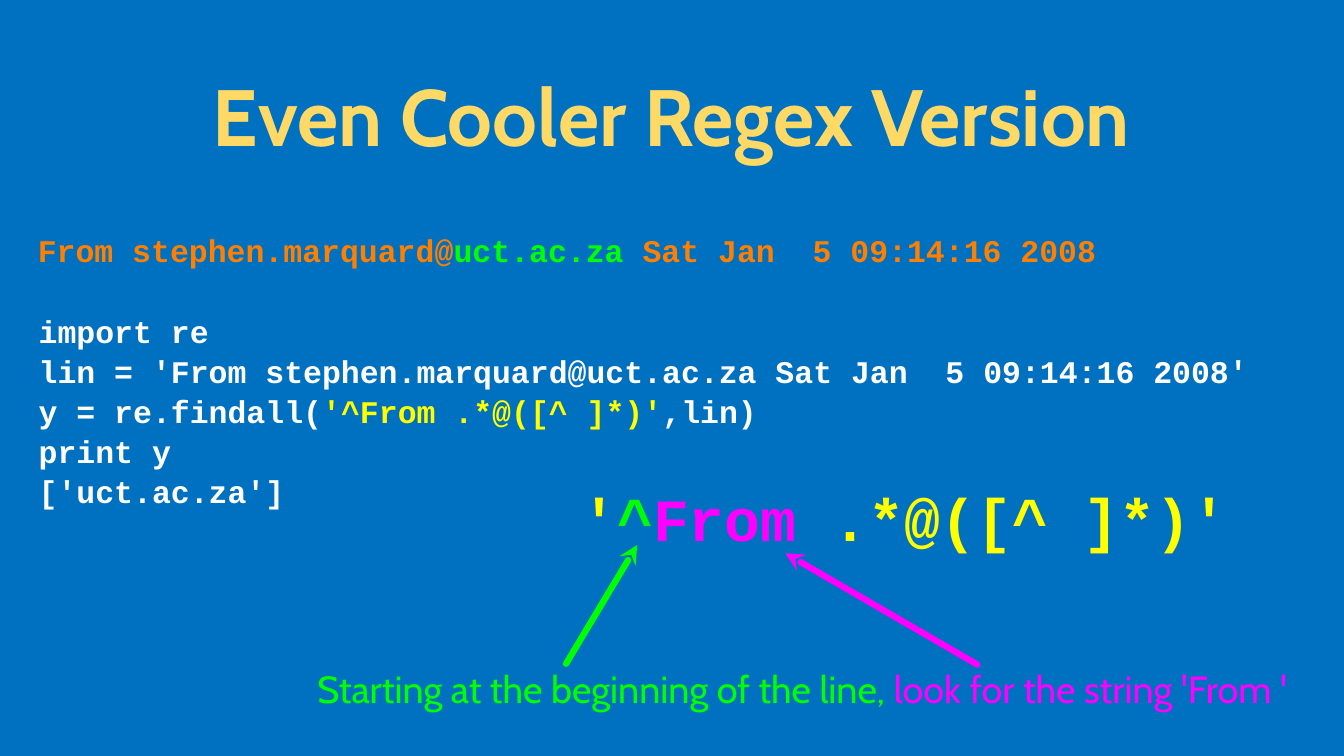
import pptx
import pptx.dml.color
import pptx.enum.shapes
import pptx.enum.text
import pptx.oxml
import pptx.oxml.ns
import pptx.util
from dataclasses import dataclass
from typing import NamedTuple

Cm = pptx.util.Cm
ALIGN = pptx.enum.text.PP_ALIGN


@dataclass(frozen=True)
class Theme:
    background: str = "0070C0"
    title: str = "FFD966"
    code: str = "FFFFFF"
    regex: str = "FFFF00"
    start: str = "00FF00"
    literal: str = "FF00FF"
    mail: str = "FF7F00"
    body_font: str = "Cabin"
    code_font: str = "Courier New"
    title_size: int = 76
    regex_size: int = 57
    note_size: int = 36
    code_size: int = 30
    arrow_width: int = 6


T = Theme()


class Run(NamedTuple):
    text: str
    color: str


class Box(NamedTuple):
    left: float
    top: float
    width: float
    height: float


@dataclass(frozen=True)
class TextBlock:
    box: Box
    lines: list[list[Run]]
    font: str
    size: int
    bold: bool = True
    align: ALIGN = ALIGN.LEFT
    inset: float = 0
    space_before: float = 0


class Arrow(NamedTuple):
    tip: tuple[float, float]
    tail: tuple[float, float]
    color: str


def rgb(color: str) -> pptx.dml.color.RGBColor:
    return pptx.dml.color.RGBColor.from_string(color)


def fill_text(sp, block: TextBlock) -> None:
    """Place a shape and write its text run by run."""
    sp.left, sp.top, sp.width, sp.height = (Cm(v) for v in block.box)
    tf = sp.text_frame
    tf.word_wrap = True
    tf.auto_size = pptx.enum.text.MSO_AUTO_SIZE.NONE
    tf.vertical_anchor = pptx.enum.text.MSO_ANCHOR.MIDDLE
    tf.margin_left = tf.margin_right = Cm(block.inset)
    tf.margin_top = tf.margin_bottom = Cm(block.inset)
    for i, line in enumerate(block.lines):
        p = tf.add_paragraph() if i else tf.paragraphs[0]
        p.alignment = block.align
        p.space_before = pptx.util.Pt(block.space_before if i else 0)
        for run in line:
            r = p.add_run()
            r.text = run.text
            r.font.name = block.font
            r.font.size = pptx.util.Pt(block.size)
            r.font.bold = block.bold
            r.font.color.rgb = rgb(run.color)


def add_text(s, block: TextBlock) -> None:
    fill_text(s.shapes.add_textbox(*(Cm(v) for v in block.box)), block)


def add_arrow(s, arrow: Arrow) -> None:
    """Draw a round-capped line with a stealth head at its tip."""
    ends = (Cm(v) for v in arrow.tip + arrow.tail)
    sp = s.shapes.add_connector(pptx.enum.shapes.MSO_CONNECTOR.STRAIGHT, *ends)
    sp.line.color.rgb = rgb(arrow.color)
    sp.line.width = pptx.util.Pt(T.arrow_width)
    ln = sp.line._get_or_add_ln()
    ln.set("cap", "rnd")
    for tag, attrs in (("a:round", {}), ("a:headEnd", {"type": "stealth"})):
        el = pptx.oxml.xmlchemy.OxmlElement(tag)
        for key, value in attrs.items():
            el.set(key, value)
        ln.append(el)
    sp._element.spPr.append(pptx.oxml.xmlchemy.OxmlElement("a:effectLst"))


TITLE = TextBlock(Box(3.2, 0.66, 38.71, 6.38),
                  [[Run("Even Cooler Regex Version", T.title)]],
                  T.body_font, T.title_size, align=ALIGN.CENTER, inset=0.1)

BLOCKS = [
    # Enlarged regular expression
    TextBlock(Box(19.53, 16.18, 21.95, 2.44),
              [[Run("'", T.regex), Run("^", T.start), Run("From ", T.literal),
                Run(".*@([^ ]*)'", T.regex)]],
              T.code_font, T.regex_size),
    # Explanation
    TextBlock(Box(10.57, 22.25, 32.77, 1.73),
              [[Run("Starting at the beginning of the line, ", T.start),
                Run("look for the string 'From ' ", T.literal)]],
              T.body_font, T.note_size, bold=False, align=ALIGN.CENTER),
    # Mail header being searched
    TextBlock(Box(1.27, 7.47, 43, 1.88),
              [[Run("From stephen.marquard@", T.mail), Run("uct.ac.za", T.start),
                Run(" Sat Jan  5 09:14:16 2008", T.mail)]],
              T.code_font, T.code_size),
    # Program and its output
    TextBlock(Box(1.3, 10.67, 43.79, 6.27),
              [[Run("import re", T.code)],
               [Run("lin = 'From stephen.marquard@uct.ac.za Sat Jan  5 09:14:16 2008'",
                    T.code)],
               [Run("y = re.findall(", T.code), Run("'^From .*@([^ ]*)'", T.regex),
                Run(",lin)", T.code)],
               [Run("print y", T.code)],
               [Run("['uct.ac.za']", T.code)]],
              T.code_font, T.code_size, space_before=2),
]

ARROWS = [
    Arrow((21.41, 18.31), (19.02, 22.3), T.start),
    Arrow((26.39, 18.59), (32.84, 22.33), T.literal),
]


def main() -> None:
    prs = pptx.Presentation()
    prs.slide_width, prs.slide_height = Cm(45.16), Cm(25.4)
    s = prs.slides.add_slide(prs.slide_layouts[5])
    s.background.fill.solid()
    s.background.fill.fore_color.rgb = rgb(T.background)

    fill_text(s.shapes.title, TITLE)
    for block in BLOCKS:
        add_text(s, block)
    for arrow in ARROWS:
        add_arrow(s, arrow)
    prs.save("out.pptx")


if __name__ == "__main__":
    main()
